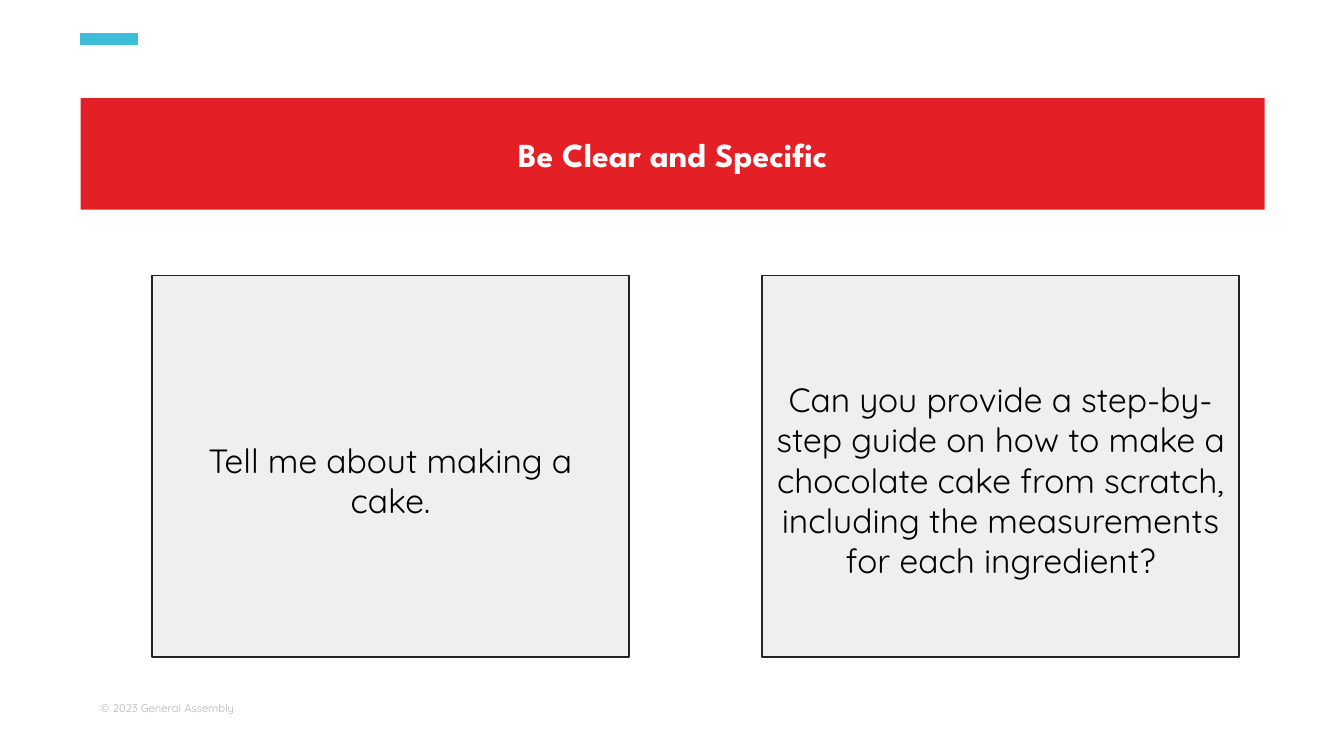
from typing import NamedTuple, Optional

from pptx import Presentation
from pptx.dml.color import RGBColor
from pptx.enum.shapes import MSO_SHAPE
from pptx.enum.text import MSO_ANCHOR, PP_ALIGN
from pptx.util import Inches, Pt

RECTANGLE = MSO_SHAPE.RECTANGLE
MIDDLE = MSO_ANCHOR.MIDDLE
CENTER, LEFT = PP_ALIGN.CENTER, PP_ALIGN.LEFT

SLIDE_WIDTH = 10
SLIDE_HEIGHT = SLIDE_WIDTH * 9 / 16

COLORS = {
    "red": "E41F26",
    "teal": "3DBED4",
    "card": "EFEFEF",
    "outline": "222222",
    "black": "000000",
    "white": "FFFFFF",
    "footer": "B7B7B7",
}
HEADING_FONT = "League Spartan"
BODY_FONT = "Quicksand"


class Box(NamedTuple):
    left: float
    top: float
    width: float
    height: float
    fill: str
    line: Optional[str] = None


class Label(NamedTuple):
    text: str
    font: str
    size: float
    color: str
    bold: bool = False
    align: PP_ALIGN = CENTER
    inset: float = 0.1
    top_inset: float = 0.1
    space_after: float = 10


def rgb(name: str) -> RGBColor:
    return RGBColor.from_string(COLORS[name])


def write_label(shape, label: Label) -> None:
    frame = shape.text_frame
    frame.word_wrap = True
    frame.vertical_anchor = MIDDLE
    frame.margin_left = frame.margin_right = frame.margin_bottom = Inches(label.inset)
    frame.margin_top = Inches(label.top_inset)
    paragraph = frame.paragraphs[0]
    paragraph.text = label.text
    paragraph.alignment = label.align
    paragraph.space_after = Pt(label.space_after)
    paragraph.font.name = label.font
    paragraph.font.size = Pt(label.size)
    paragraph.font.bold = label.bold
    paragraph.font.color.rgb = rgb(label.color)


def draw_box(slide, box: Box, label: Optional[Label] = None) -> None:
    shape = slide.shapes.add_shape(
        RECTANGLE, Inches(box.left), Inches(box.top), Inches(box.width), Inches(box.height)
    )
    shape.shadow.inherit = False
    shape.fill.solid()
    shape.fill.fore_color.rgb = rgb(box.fill)
    if box.line:
        shape.line.color.rgb = rgb(box.line)
        shape.line.width = Pt(0.75)
    else:
        shape.line.fill.background()
    if label:
        write_label(shape, label)


def main() -> None:
    prs = Presentation()
    prs.slide_width, prs.slide_height = Inches(SLIDE_WIDTH), Inches(SLIDE_HEIGHT)
    slide = prs.slides.add_slide(prs.slide_layouts[6])

    # Copyright footer
    footer = slide.shapes.add_textbox(Inches(0.75), Inches(5.17), Inches(1), Inches(0.2))
    write_label(footer, Label("© 2023 General Assembly", BODY_FONT, 6, "footer",
                              align=LEFT, inset=0, top_inset=0, space_after=0))

    # Heading banner
    draw_box(slide, Box(0.6, 0.73, 8.81, 0.83, "red"),
             Label("Be Clear and Specific", HEADING_FONT, 18, "white", bold=True))

    # Vague and specific prompts, side by side
    prompts = [
        "Tell me about making a cake.",
        "Can you provide a step-by-step guide on how to make a chocolate cake "
        "from scratch, including the measurements for each ingredient?",
    ]
    first_left, card_pitch = 1.13, 4.54
    for column, prompt in enumerate(prompts):
        draw_box(slide,
                 Box(first_left + column * card_pitch, 2.05, 3.55, 2.84, "card", "outline"),
                 Label(prompt, BODY_FONT, 18, "black", top_inset=0.3))

    # Accent bar
    draw_box(slide, Box(0.6, 0.25, 0.42, 0.08, "teal", "teal"))

    prs.save("out.pptx")


if __name__ == "__main__":
    main()
